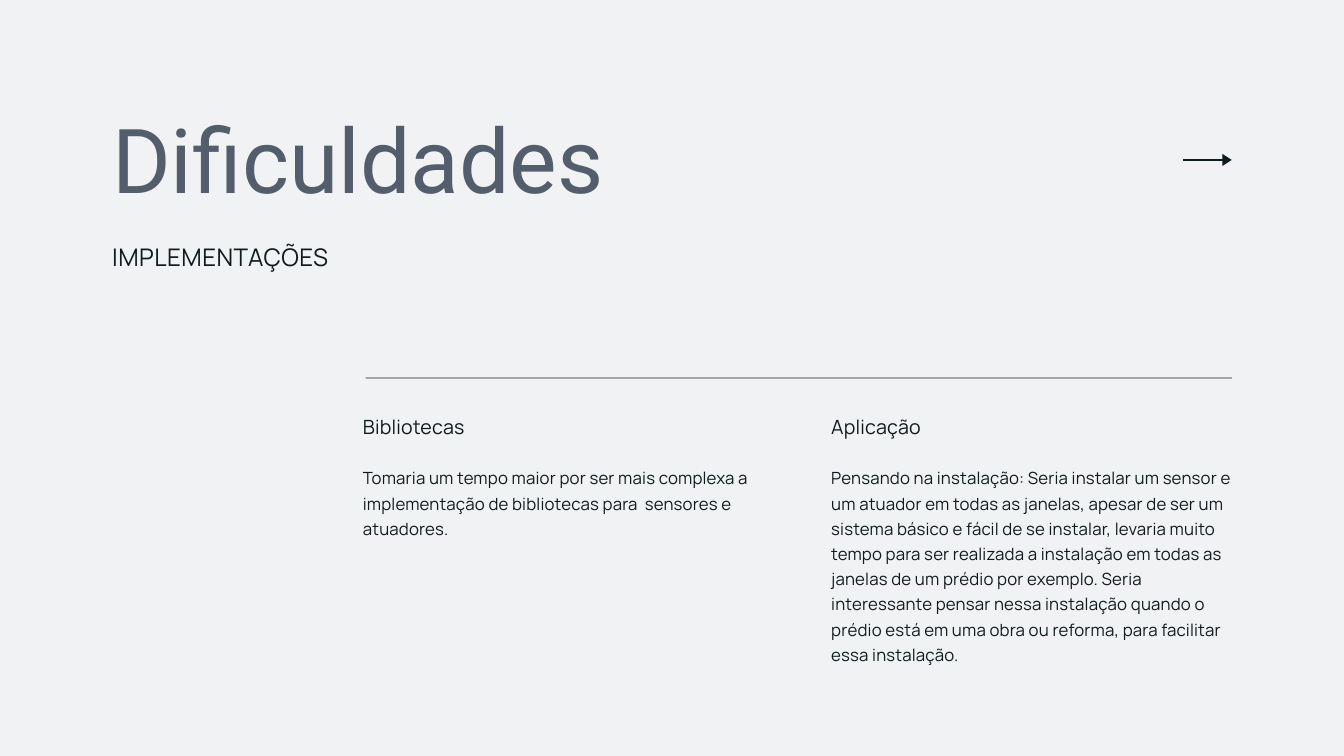
from pptx import Presentation
from pptx.dml.color import RGBColor
from pptx.enum.shapes import MSO_SHAPE
from pptx.util import Inches, Pt

INK = "111B1E"
SLATE = "535D6B"
MARGIN = 1.67
COLUMN_TOP = 6.11


def fill_plain(shape, color):
    """Give a solid fill with neither outline nor shadow."""
    shape.fill.solid()
    shape.fill.fore_color.rgb = RGBColor.from_string(color)
    shape.line.fill.background()
    shape.shadow.inherit = False


def add_text(text, box, size, leading, font="Manrope", color=INK, tracking=0):
    """Add one paragraph; leading and tracking are in points."""
    frame = slide.shapes.add_textbox(*[Inches(v) for v in box]).text_frame
    frame.margin_left = frame.margin_right = 0
    frame.margin_top = frame.margin_bottom = 0
    frame.word_wrap = True
    paragraph = frame.paragraphs[0]
    paragraph.line_spacing = Pt(leading)
    run = paragraph.add_run()
    run.text = text
    run.font.name = font
    run.font.size = Pt(size)
    run.font.color.rgb = RGBColor.from_string(color)
    if tracking:
        run._r.get_or_add_rPr().set("spc", str(round(tracking * 100)))


deck = Presentation()
deck.slide_width = Inches(20)
deck.slide_height = Inches(11.25)
slide = deck.slides.add_slide(deck.slide_layouts[6])
slide.background.fill.solid()
slide.background.fill.fore_color.rgb = RGBColor.from_string("F0F2F4")

# Arrow at the top right
arrow_shaft = [(17.6, 2.37), (18.22, 2.37), (18.22, 2.4), (17.6, 2.4)]
arrow_head = [(18.19, 2.47), (18.19, 2.29), (18.33, 2.38)]
for outline in (arrow_shaft, arrow_head):
    points = [(Inches(x), Inches(y)) for x, y in outline]
    builder = slide.shapes.build_freeform(*points[0])
    builder.add_line_segments(points[1:], close=True)
    fill_plain(builder.convert_to_shape(), INK)

# Rule above the columns
divider = slide.shapes.add_shape(
    MSO_SHAPE.RECTANGLE, Inches(5.44), Inches(5.62), Inches(12.89), Inches(0.01))
fill_plain(divider, INK)

# Heading
add_text("Dificuldades", (MARGIN, 1.54, 12.2, 1.6), 96, 115.2, "Roboto", SLATE)
add_text("IMPLEMENTAÇÕES", (MARGIN, 3.53, 12.2, 0.47), 26, 36.4, tracking=0.5)

# Two columns
columns = [
    (5.4, 1.4, "Bibliotecas",
     "Tomaria um tempo maior por ser mais complexa a implementação de "
     "bibliotecas para  sensores e atuadores."),
    (12.37, 2.85, "Aplicação",
     "Pensando na instalação: Seria instalar um sensor e um atuador em todas as "
     "janelas, apesar de ser um sistema básico e fácil de se instalar, levaria "
     "muito tempo para ser realizada a instalação em todas as janelas de um "
     "prédio por exemplo. Seria interessante pensar nessa instalação quando o "
     "prédio está em uma obra ou reforma, para facilitar essa instalação."),
]
for left, body_height, heading, body in columns:
    add_text(heading, (left, COLUMN_TOP, 5.96, 0.38), 21, 29.4, tracking=0.2)
    add_text(body, (left, COLUMN_TOP + 0.78, 5.96, body_height), 18, 27, tracking=0.2)

deck.save("out.pptx")
